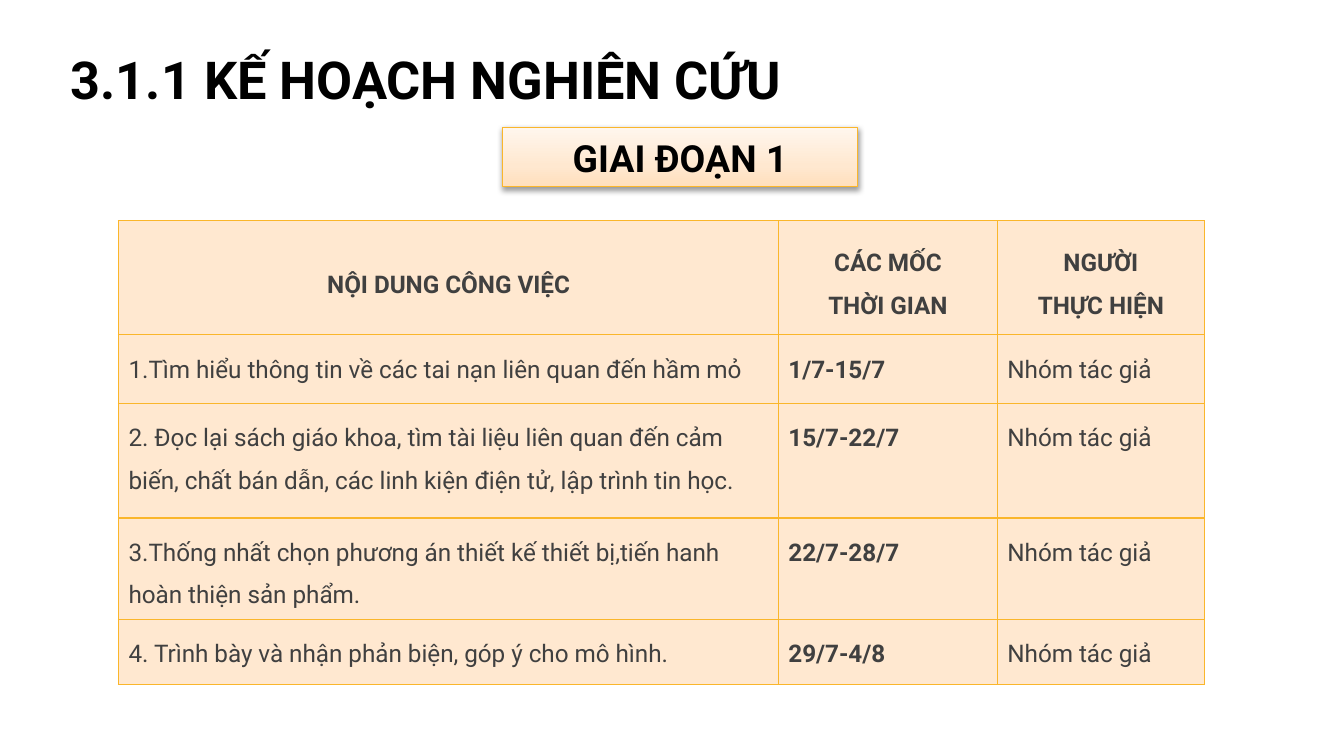
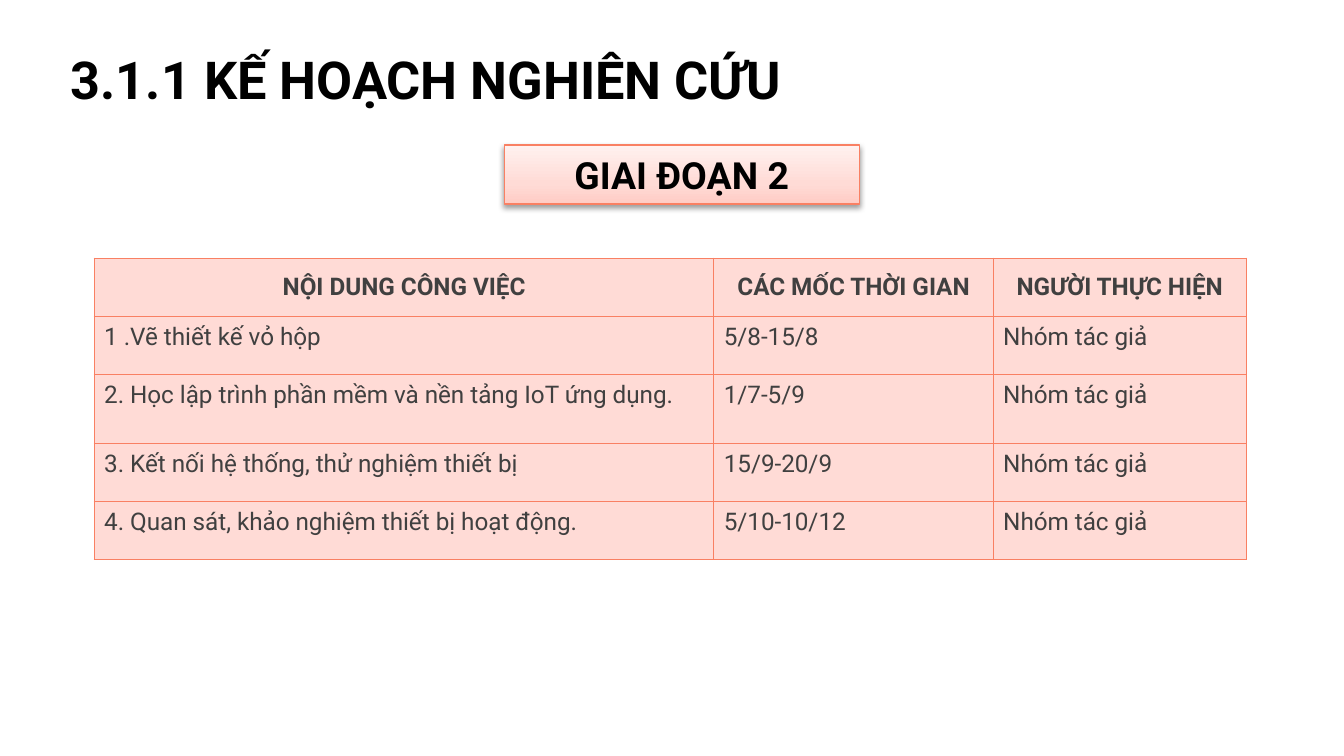
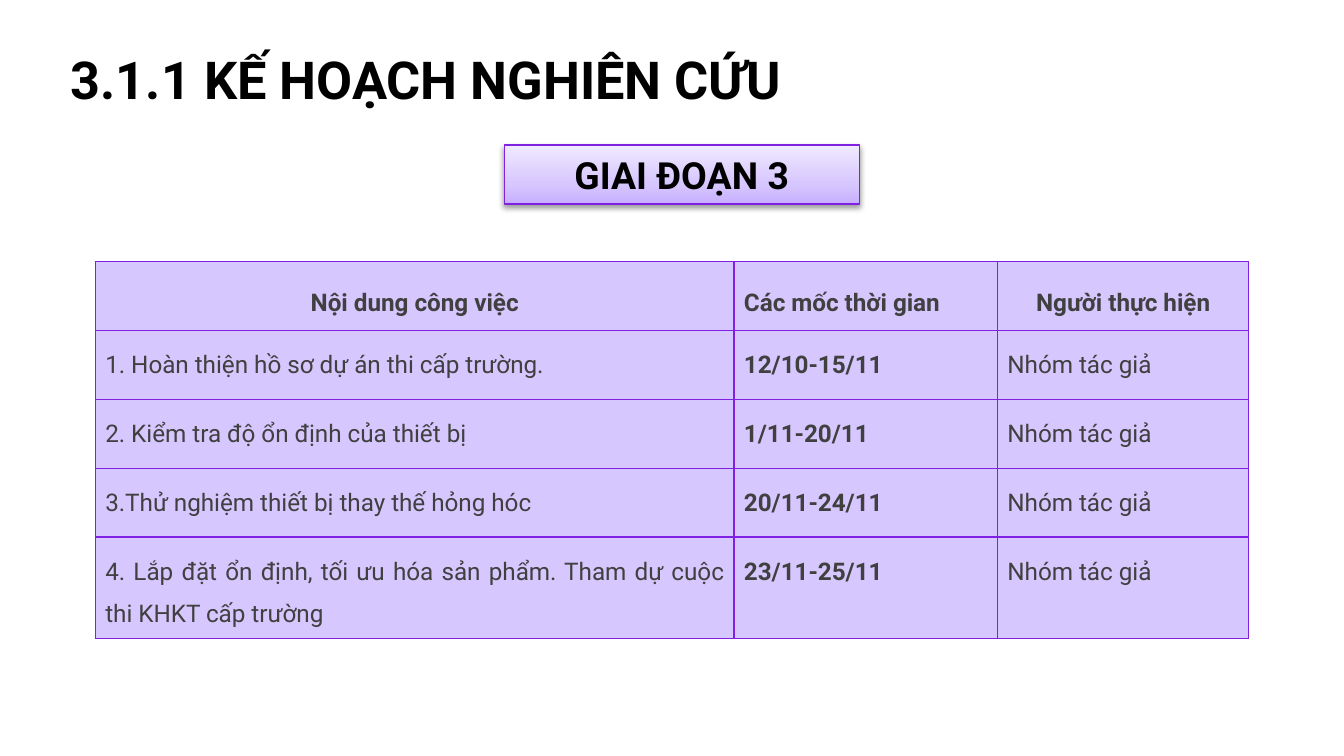
import copy
from dataclasses import dataclass

import pptx
import pptx.dml.color
import pptx.enum.shapes
import pptx.enum.text
import pptx.oxml
import pptx.oxml.ns
import pptx.util

Cm = pptx.util.Cm
Pt = pptx.util.Pt
qn = pptx.oxml.ns.qn
RGB = pptx.dml.color.RGBColor.from_string
ALIGN = pptx.enum.text.PP_ALIGN
ANCHOR = pptx.enum.text.MSO_ANCHOR
AUTO_SIZE = pptx.enum.text.MSO_AUTO_SIZE
NS = pptx.oxml.ns.nsdecls("a")


@dataclass(frozen=True)
class Theme:
    font: str = "Roboto"
    heading: str = "000000"
    body: str = "404040"
    title_size: int = 28
    badge_size: int = 20
    table_size: int = 13
    line_width: float = 0.75


@dataclass(frozen=True)
class Palette:
    line: str
    deep: str
    mid: str
    pale: str


ORANGE = Palette("FAB62B", "FFDFBC", "FFE8D0", "FFF6ED")
CORAL = Palette("F98063", "FFCCC5", "FFDBD6", "FFF1EF")
PURPLE = Palette("7F20E2", "C8B0FF", "D7C7FF", "F0EAFF")

TITLE = "3.1.1 KẾ HOẠCH NGHIÊN CỨU"
TEAM = "Nhóm tác giả"


class Deck:
    def __init__(self, theme):
        self.theme = theme
        self.prs = pptx.Presentation()
        self.prs.slide_width, self.prs.slide_height = Cm(25.4), Cm(14.29)

    def new_slide(self, palette):
        self.slide = self.prs.slides.add_slide(self.prs.slide_layouts[6])
        self.palette = palette

    def put_text(self, tf, text, size, color, bold, align, spacing=None):
        for i, line in enumerate(text.split("\n")):
            p = tf.add_paragraph() if i else tf.paragraphs[0]
            p.text = line
            p.alignment = align
            p.line_spacing = spacing
            p.font.name = self.theme.font
            p.font.size = Pt(size)
            p.font.bold = bold
            p.font.color.rgb = RGB(color)

    def title(self, text):
        tf = self.slide.shapes.add_textbox(Cm(1.09), Cm(0.76), Cm(14.1), Cm(1.45)).text_frame
        tf.word_wrap = False
        tf.auto_size = AUTO_SIZE.SHAPE_TO_FIT_TEXT
        self.put_text(tf, text, self.theme.title_size, self.theme.heading, True, ALIGN.LEFT)

    def badge(self, text, left, top):
        sp = self.slide.shapes.add_shape(
            pptx.enum.shapes.MSO_SHAPE.RECTANGLE, Cm(left), Cm(top), Cm(6.71), Cm(1.12))
        self.gradient(sp)
        sp.line.color.rgb = RGB(self.palette.line)
        sp.line.width = Pt(self.theme.line_width)
        self.shadow(sp)
        tf = sp.text_frame
        tf.word_wrap = True
        tf.auto_size = AUTO_SIZE.SHAPE_TO_FIT_TEXT
        self.put_text(tf, text, self.theme.badge_size, self.theme.heading, True, ALIGN.CENTER)

    def gradient(self, sp):
        sp.fill.gradient()
        sp.fill.gradient_angle = 90
        stops = sp._element.spPr.find(".//" + qn("a:gsLst"))
        stops.append(copy.deepcopy(stops[0]))
        colors = self.palette.deep, self.palette.mid, self.palette.pale
        for stop, position, color in zip(sp.fill.gradient_stops, (0, 0.35, 1), colors):
            stop.position = position
            stop.color.rgb = RGB(color)

    def shadow(self, sp):
        sp.shadow.inherit = False
        effects = sp._element.spPr.find(qn("a:effectLst"))
        effects.append(pptx.oxml.parse_xml(
            f'<a:outerShdw {NS} blurRad="{Pt(3.1)}" dist="{Pt(1.6)}" dir="5400000" rotWithShape="0">'
            '<a:srgbClr val="000000"><a:alpha val="38000"/></a:srgbClr></a:outerShdw>'))

    def table(self, left, top, widths, heights, rows, header_aligns, body_align,
              spacing=None, bold_dates=True):
        tbl = self.slide.shapes.add_table(
            len(rows), len(widths), Cm(left), Cm(top), Cm(sum(widths)), Cm(sum(heights))).table
        tbl.first_row = tbl.horz_banding = False
        for col, width in zip(tbl.columns, widths):
            col.width = Cm(width)
        for row, height in zip(tbl.rows, heights):
            row.height = Cm(height)
        for r, texts in enumerate(rows):
            for c, text in enumerate(texts):
                cell = tbl.cell(r, c)
                self.style_cell(cell)
                header = r == 0
                cell.vertical_anchor = ANCHOR.MIDDLE if header else ANCHOR.TOP
                self.put_text(cell.text_frame, text, self.theme.table_size, self.theme.body,
                              header or (bold_dates and c == 1),
                              header_aligns[c] if header else body_align, spacing)

    def style_cell(self, cell):
        cell.margin_left = cell.margin_right = Cm(0.19)
        cell.margin_top = cell.margin_bottom = Cm(0.13)
        tcPr = cell._tc.get_or_add_tcPr()
        for side in "LRTB":
            tcPr.append(pptx.oxml.parse_xml(
                f'<a:ln{side} {NS} w="{Pt(self.theme.line_width)}"><a:solidFill>'
                f'<a:srgbClr val="{self.palette.line}"/></a:solidFill></a:ln{side}>'))
        cell.fill.solid()
        cell.fill.fore_color.rgb = RGB(self.palette.mid)


def with_team(header, tasks):
    return [header] + [(task, dates, TEAM) for task, dates in tasks]


def main():
    deck = Deck(Theme())
    centered = [ALIGN.CENTER] * 3

    deck.new_slide(ORANGE)
    deck.title(TITLE)
    deck.table(
        2.24, 4.17, [12.47, 4.14, 3.91], [2.16, 1.3, 2.16, 1.68, 1.24],
        with_team(("NỘI DUNG CÔNG VIỆC", "CÁC MỐC\nTHỜI GIAN", "NGƯỜI\nTHỰC HIỆN"), [
            ("1.Tìm hiểu thông tin về các tai nạn liên quan đến hầm mỏ", "1/7-15/7"),
            ("2. Đọc lại sách giáo khoa, tìm tài liệu liên quan đến cảm biến, chất bán dẫn, "
             "các linh kiện điện tử, lập trình tin học.", "15/7-22/7"),
            ("3.Thống nhất chọn phương án thiết kế thiết bị,tiến hanh hoàn thiện sản phẩm.",
             "22/7-28/7"),
            ("4. Trình bày và nhận phản biện, góp ý cho mô hình.", "29/7-4/8"),
        ]),
        centered, ALIGN.LEFT, spacing=1.5)
    deck.badge("GIAI ĐOẠN 1", 9.5, 2.41)

    deck.new_slide(CORAL)
    deck.title(TITLE)
    deck.badge("GIAI ĐOẠN 2", 9.53, 2.74)
    deck.table(
        1.78, 4.88, [11.71, 5.28, 4.78], [1.1, 1.1, 1.3, 1.1, 1.1],
        with_team(("NỘI DUNG CÔNG VIỆC", "CÁC MỐC THỜI GIAN", "NGƯỜI THỰC HIỆN"), [
            ("1 .Vẽ thiết kế vỏ hộp", "5/8-15/8"),
            ("2. Học lập trình phần mềm và nền tảng IoT ứng dụng.", "1/7-5/9"),
            ("3. Kết nối hệ thống, thử nghiệm thiết bị", "15/9-20/9"),
            ("4. Quan sát, khảo nghiệm thiết bị hoạt động.", "5/10-10/12"),
        ]),
        centered, ALIGN.JUSTIFY, bold_dates=False)

    deck.new_slide(PURPLE)
    deck.title(TITLE)
    deck.badge("GIAI ĐOẠN 3", 9.53, 2.74)
    deck.table(
        1.8, 4.95, [12.07, 4.98, 4.75], [1.3, 1.3, 1.3, 1.3, 1.8],
        with_team(("Nội dung công việc", "Các mốc thời gian", "Người thực hiện"), [
            ("1. Hoàn thiện hồ sơ dự án thi cấp trường.", "12/10-15/11"),
            ("2. Kiểm tra độ ổn định của thiết bị", "1/11-20/11"),
            ("3.Thử nghiệm thiết bị thay thế hỏng hóc", "20/11-24/11"),
            ("4. Lắp đặt ổn định, tối ưu hóa sản phẩm. Tham dự cuộc thi KHKT cấp trường",
             "23/11-25/11"),
        ]),
        [ALIGN.CENTER, ALIGN.JUSTIFY, ALIGN.CENTER], ALIGN.JUSTIFY, spacing=1.5)

    deck.prs.save("out.pptx")


if __name__ == "__main__":
    main()
